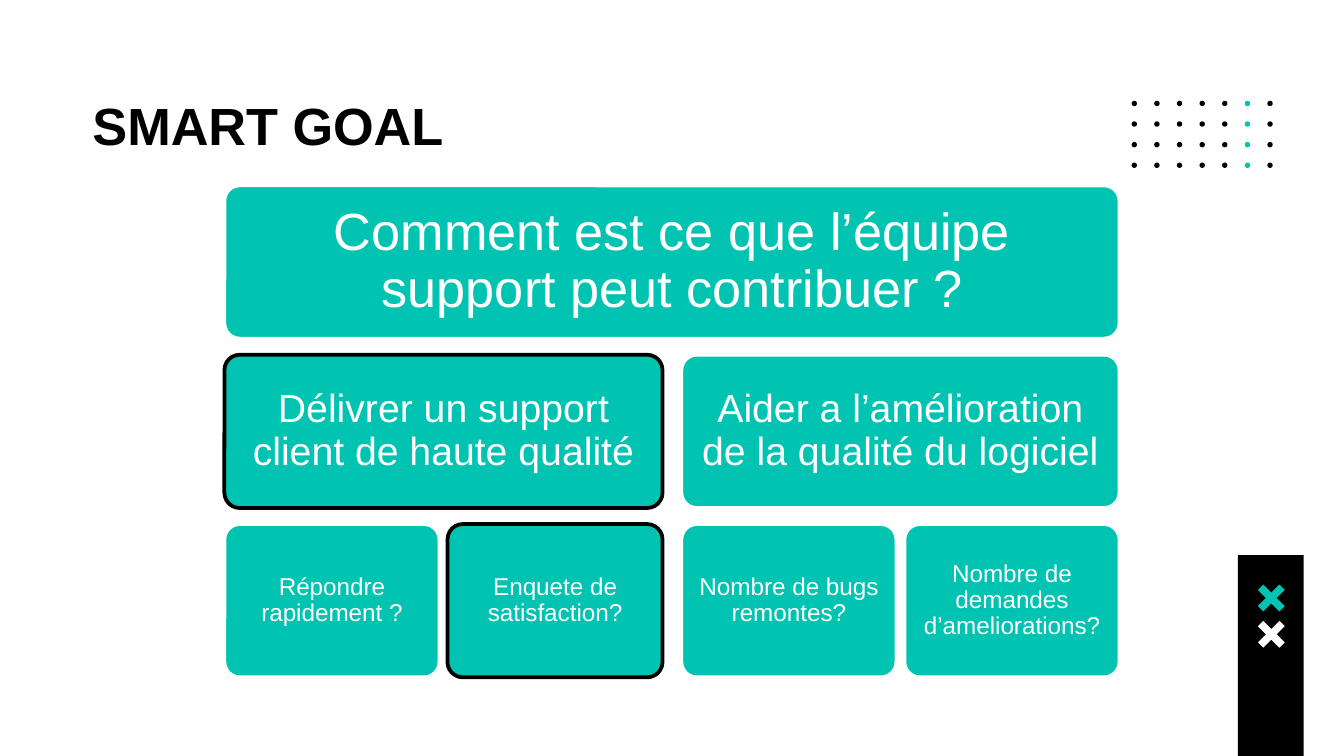
from dataclasses import dataclass

from pptx import Presentation
from pptx import util as u
from pptx.dml.color import RGBColor
from pptx.enum import shapes, text

TEAL, BLACK, WHITE = "00C3B1", "000000", "FFFFFF"
FONT = "Arial"
WIDE = 10
TALL = WIDE * 9 / 16
LEFT, TOP = 1.67, 1.38
HIGH, STEP = 1.14, 1.26
HALF, PART = 3.4, 1.66
ROWS, COLS = 4, 7


@dataclass
class Level:
    width: float
    size: int
    inset: float


@dataclass
class Card:
    label: str
    row: int
    left: float
    edge: str = WHITE


@dataclass
class Cross:
    top: float
    color: str


LEVELS = [Level(6.66, 28, 0.12), Level(3.26, 21, 0.09), Level(1.6, 13, 0.05)]

CARDS = [
    Card("Comment est ce que l’équipe support peut contribuer ?", 0, LEFT),
    Card("Délivrer un support client de haute qualité", 1, LEFT, BLACK),
    Card("Répondre rapidement ?", 2, LEFT),
    Card("Enquete de satisfaction?", 2, LEFT + PART, BLACK),
    Card("Aider a l’amélioration de la qualité du logiciel", 1, LEFT + HALF),
    Card("Nombre de bugs remontes?", 2, LEFT + HALF),
    Card("Nombre de demandes d’ameliorations?", 2, LEFT + HALF + PART),
]

CROSSES = [Cross(4.35, TEAL), Cross(4.62, WHITE)]
ARMS = [
    (0.04, 0), (0, 0.04), (0.06, 0.1), (0, 0.16), (0.04, 0.2), (0.1, 0.14),
    (0.16, 0.2), (0.2, 0.16), (0.14, 0.1), (0.2, 0.04), (0.16, 0), (0.1, 0.06),
]


def paint(target, color: str) -> None:
    target.fill.solid()
    target.fill.fore_color.rgb = RGBColor.from_string(color)


def style(run, size: int, color: str, bold: bool = False) -> None:
    run.font.name = FONT
    run.font.size = u.Pt(size)
    run.font.bold = bold
    run.font.color.rgb = RGBColor.from_string(color)


def pad(frame, inset: float) -> None:
    frame.word_wrap = True
    frame.margin_left = frame.margin_right = u.Inches(inset)
    frame.margin_top = frame.margin_bottom = u.Inches(inset)


def finish(shape, color: str) -> None:
    shape.shadow.inherit = False
    paint(shape, color)
    shape.line.fill.background()


def add_plain(slide, kind, left: float, top: float, width: float, height: float, color: str):
    shape = slide.shapes.add_shape(
        kind, u.Inches(left), u.Inches(top), u.Inches(width), u.Inches(height)
    )
    finish(shape, color)
    return shape


def draw_dots(slide) -> None:
    for row in range(ROWS):
        for col in range(COLS):
            color = TEAL if col == COLS - 2 else BLACK
            left = 8.42 + col * 1.01 / (COLS - 1)
            top = 0.75 + row * 0.46 / (ROWS - 1)
            add_plain(slide, shapes.MSO_SHAPE.OVAL, left, top, 0.04, 0.04, color)


def draw_cross(slide, cross: Cross) -> None:
    points = [(u.Inches(9.36 + x), u.Inches(cross.top + y)) for x, y in ARMS]
    maker = slide.shapes.build_freeform(*points[0])
    maker.add_line_segments(points[1:], close=True)
    finish(maker.convert_to_shape(), cross.color)


def draw_title(slide, label: str) -> None:
    box = slide.shapes.add_textbox(
        u.Inches(0.59), u.Inches(0.59), u.Inches(8.86), u.Inches(0.79)
    )
    frame = box.text_frame
    pad(frame, 0.1)
    frame.text = label
    style(frame.paragraphs[0].runs[0], 28, BLACK, True)


def draw_card(slide, card: Card) -> None:
    level = LEVELS[card.row]
    shape = add_plain(
        slide, shapes.MSO_SHAPE.ROUNDED_RECTANGLE,
        card.left, TOP + card.row * STEP, level.width, HIGH, TEAL,
    )
    shape.adjustments[0] = 0.1
    paint(shape.line, card.edge)
    shape.line.width = u.Pt(2)
    frame = shape.text_frame
    pad(frame, level.inset)
    frame.vertical_anchor = text.MSO_ANCHOR.MIDDLE
    frame.text = card.label
    line = frame.paragraphs[0]
    line.alignment = text.PP_ALIGN.CENTER
    line.line_spacing = 0.9
    style(line.runs[0], level.size, WHITE)


def main() -> None:
    deck = Presentation()
    deck.slide_width, deck.slide_height = u.Inches(WIDE), u.Inches(TALL)
    slide = deck.slides.add_slide(deck.slide_layouts[6])
    draw_dots(slide)
    add_plain(slide, shapes.MSO_SHAPE.RECTANGLE, 9.21, 4.13, 0.49, TALL - 4.13, BLACK)
    for cross in CROSSES:
        draw_cross(slide, cross)
    draw_title(slide, "SMART GOAL")
    for card in CARDS:
        draw_card(slide, card)
    deck.save("out.pptx")


if __name__ == "__main__":
    main()
